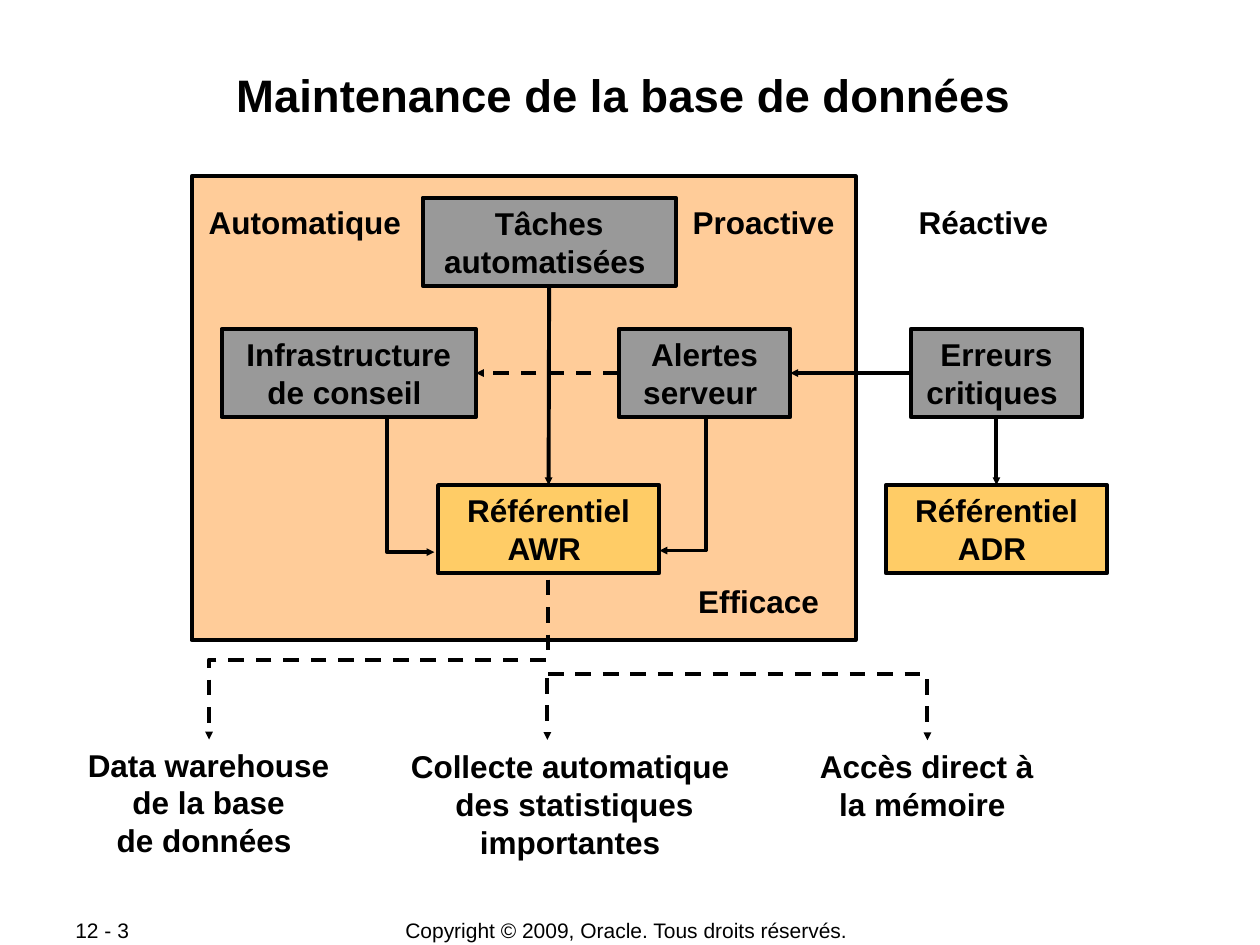
"""Build the slide on automatic, proactive and reactive database maintenance."""
from lxml.etree import SubElement
from pptx import Presentation
from pptx.dml.color import RGBColor
from pptx.enum.dml import MSO_LINE
from pptx.enum.shapes import MSO_CONNECTOR, MSO_SHAPE
from pptx.enum.text import MSO_ANCHOR, MSO_AUTO_SIZE, PP_ALIGN
from pptx.oxml.ns import qn
from pptx.util import Pt

COLORS = {"ink": "000000", "peach": "FFCC99", "gray": "999999", "gold": "FFCC66"}


def write(shape, text, size=18, bold=True, align=PP_ALIGN.CENTER, wrap=False,
          anchor=MSO_ANCHOR.TOP, inset=(7.2, 3.6), pitch=21.6):
    frame = shape.text_frame
    frame.auto_size = MSO_AUTO_SIZE.NONE
    frame.word_wrap = wrap
    frame.vertical_anchor = anchor
    frame.margin_left = frame.margin_right = Pt(inset[0])
    frame.margin_top = frame.margin_bottom = Pt(inset[1])
    para = frame.paragraphs[0]
    para.text = text
    para.alignment = align
    para.space_before = Pt(0)
    if pitch:
        para.line_spacing = Pt(pitch)
    for run in para.runs:
        run.font.size, run.font.bold, run.font.name = Pt(size), bold, "Arial"
        run.font.color.rgb = RGBColor.from_string(COLORS["ink"])


def stroke(shape, dash=False, head=True):
    line = shape.line
    line.width = Pt(2.25)
    line.color.rgb = RGBColor.from_string(COLORS["ink"])
    if dash:
        line.dash_style = MSO_LINE.DASH
    if head:
        SubElement(line._get_or_add_ln(), qn("a:tailEnd"), type="triangle", w="sm", len="sm")
    if shape.element.spPr.find(qn("a:effectLst")) is None:
        SubElement(shape.element.spPr, qn("a:effectLst"))


deck = Presentation()
deck.slide_width, deck.slide_height = Pt(720), Pt(540)
slide = deck.slides.add_slide(deck.slide_layouts[5])
shapes = slide.shapes

title = shapes.title
title.left, title.top, title.width, title.height = Pt(48), Pt(37.5), Pt(624), Pt(66)
write(title, "Maintenance de la base de données ", size=26, wrap=True,
      inset=(0.72, 0.72), pitch=None)

boxes = {}
for key, left, top, width, height, fill, text in [
    ("zone", 109.5, 100.8, 379.5, 265, "peach", ""),
    ("tasks", 241.5, 113, 144.6, 50.4, "gray", "Tâches\nautomatisées "),
    ("advice", 126.6, 188, 145.4, 50.4, "gray", "Infrastructure\nde conseil "),
    ("alerts", 353.6, 188, 98, 50.4, "gray", "Alertes serveur "),
    ("errors", 520.4, 188, 98, 50.4, "gray", "Erreurs critiques "),
    ("awr", 250.3, 277.2, 126.4, 50.4, "gold", "Référentiel AWR "),
    ("adr", 506.2, 277.2, 126.4, 50.4, "gold", "Référentiel ADR "),
]:
    box = shapes.add_shape(MSO_SHAPE.RECTANGLE, Pt(left), Pt(top), Pt(width), Pt(height))
    box.shadow.inherit = False
    box.fill.solid()
    box.fill.fore_color.rgb = RGBColor.from_string(COLORS[fill])
    stroke(box, head=False)
    if text:
        write(box, text, wrap=True)
    boxes[key] = box

for start, side, end, face, dash in [
    ("tasks", 2, "awr", 0, False),
    ("errors", 2, "adr", 0, False),
    ("errors", 1, "alerts", 3, False),
    ("alerts", 1, "advice", 3, True),
]:
    link = shapes.add_connector(MSO_CONNECTOR.STRAIGHT, 0, 0, 0, 0)
    link.begin_connect(boxes[start], side)
    link.end_connect(boxes[end], face)
    stroke(link, dash)

for x, y, low, end in [(221.2, 239, 315.5, 248.3), (403.2, 239, 314.6, 376.9)]:
    pen = shapes.build_freeform(Pt(x), Pt(y))
    pen.add_line_segments([(Pt(x), Pt(low)), (Pt(end), Pt(low))], close=False)
    bend = pen.convert_to_shape()
    bend.fill.background()
    stroke(bend)

for kind, form, turn, ends in [
    (MSO_CONNECTOR.ELBOW, "bentConnector3", 90, (170.6, 280.1, 262, 473.8)),
    (MSO_CONNECTOR.ELBOW, "bentConnector2", 0, (313.2, 385.4, 530, 423)),
    (MSO_CONNECTOR.STRAIGHT, "line", 0, (312.8, 387.4, 312.8, 422.8)),
]:
    link = shapes.add_connector(kind, *map(Pt, ends))
    props = link.element.spPr
    props.find(qn("a:prstGeom")).set("prst", form)
    if turn:
        props.find(qn("a:xfrm")).set("rot", str(turn * 60000))
    stroke(link, dash=True)

foot = {"size": 12, "bold": False, "anchor": MSO_ANCHOR.MIDDLE, "pitch": None}
for left, top, width, height, text, look in [
    (111.6, 112.3, 130.3, 28.8, "Automatique ", {}),
    (388.8, 112.3, 100, 28.8, "Proactive ", {}),
    (517.7, 112.3, 93.6, 28.8, "Réactive ", {}),
    (391.7, 329, 88.6, 28.8, "Efficace ", {}),
    (43.2, 422.6, 152, 72, "Data warehouse\nde la base\nde données ", {}),
    (227.5, 423.4, 201.6, 72, "Collecte automatique \ndes statistiques\nimportantes ", {}),
    (461.5, 423.4, 136, 50.4, "Accès direct à\nla mémoire ", {}),
    (198, 524.2, 323.3, 15, "Copyright\u00a0©\u00a02009, Oracle. Tous droits réservés. ".replace("\u00a0", " "), foot),
    (36, 524.2, 76.3, 15, "12 - 3 ", {**foot, "align": PP_ALIGN.LEFT}),
]:
    label = shapes.add_textbox(Pt(left), Pt(top), Pt(width), Pt(height))
    write(label, text, **look)

deck.save("out.pptx")
